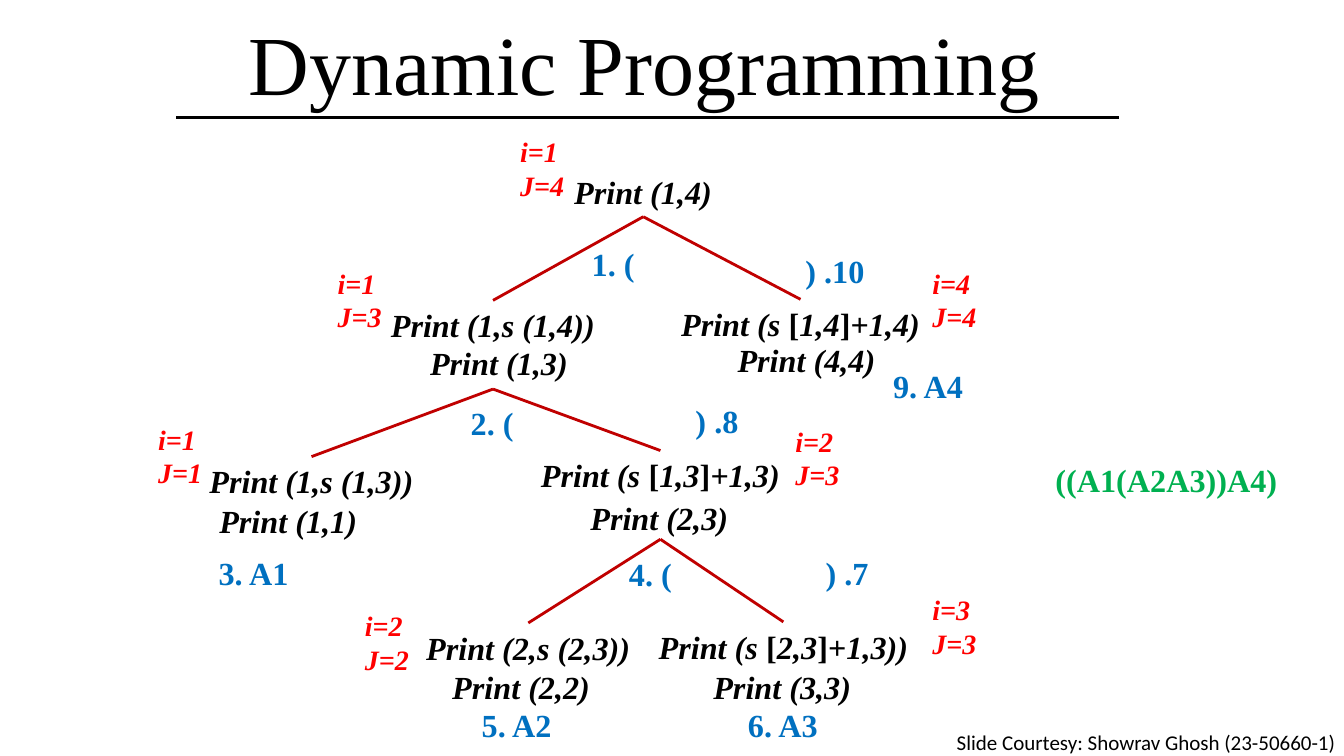
from lxml import etree
from pptx import Presentation
from pptx.dml.color import RGBColor
from pptx.enum.shapes import MSO_CONNECTOR
from pptx.enum.text import PP_ALIGN
from pptx.oxml.ns import qn
from pptx.util import Inches, Pt

COLORS = dict(ink="000000", state="FF0000", step="0070C0", branch="C00000", answer="00B050")
SERIF = "Times New Roman"
SLIDE_W, SLIDE_H = 13.33, 7.5
ROW_H, NODE_W, STEP_W = 0.49, 2.5, 1.3
STATE_W, STATE_H = 1.21, 0.77

TITLE = "Dynamic Programming"
ANSWER = "((A1(A2A3))A4)"
CREDIT = "Slide Courtesy: Showrav Ghosh (23-50660-1)"

# range: (parent, call with | around upright parts, centre x, top, width, height)
NODES = {
    "1,4": (None, "Print (1,4)", 6.38, 1.66, NODE_W, ROW_H),
    "1,3": ("1,4", "Print (1,s (1,4))", 4.89, 2.98, NODE_W, 0.88),
    "4,4": ("1,4", "Print (s |[|1,4|]+|1,4)", 7.94, 2.97, 2.61, ROW_H),
    "1,1": ("1,3", "Print (1,s (1,3))", 3.09, 4.53, NODE_W, 0.88),
    "2,3": ("1,3", "Print (s |[|1,3|]|+1,3)", 6.55, 4.47, 2.61, 0.88),
    "2,2": ("2,3", "Print (2,s (2,3))", 5.24, 6.18, NODE_W, 0.88),
    "3,3": ("2,3", "Print (s |[|2,3|]+|1,3))", 7.77, 6.17, 2.79, 0.88),
}
RESOLVED = {
    "1,3": (4.95, 3.36), "4,4": (8.0, 3.33), "1,1": (2.86, 4.92),
    "2,3": (6.54, 4.89), "2,2": (5.17, 6.57), "3,3": (7.76, 6.57),
}
STATES = {
    "1,4": (5.06, 1.29), "1,3": (3.25, 2.59), "4,4": (9.15, 2.59), "1,1": (1.47, 4.14),
    "2,3": (7.79, 4.16), "2,2": (3.52, 5.99), "3,3": (9.15, 5.83),
}
STEPS = [
    ("1. (", 5.77, 2.37), ("2. (", 4.57, 3.95), ("3. A1", 2.07, 5.44),
    ("4. (", 6.14, 5.45), ("5. A2", 4.68, 6.95), ("6. A3", 7.32, 6.95),
    (") .7", 8.09, 5.44), (") .8", 6.8, 3.93), ("9. A4", 8.76, 3.58),
    (") .10", 7.89, 2.44),
]


def add_text(s, lines, x, y, w, h, size, color, bold=True, italic=False,
             align=PP_ALIGN.LEFT, font=SERIF, inset=0.05):
    tf = s.shapes.add_textbox(Inches(x), Inches(y), Inches(w), Inches(h)).text_frame
    tf.word_wrap = True
    tf.margin_top = tf.margin_bottom = Inches(inset)
    for n, line in enumerate(lines):
        p = tf.paragraphs[0] if n == 0 else tf.add_paragraph()
        p.alignment = align
        p.font.name, p.font.size, p.font.bold = font, Pt(size), bold
        p.font.color.rgb = RGBColor.from_string(COLORS[color])
        for part, text in enumerate(line.split("|")):
            r = p.add_run()
            r.text = text
            r.font.name, r.font.size, r.font.bold = font, Pt(size), bold
            r.font.italic = italic and part % 2 == 0
            r.font.color.rgb = RGBColor.from_string(COLORS[color])


def add_line(s, start, end, color):
    c = s.shapes.add_connector(MSO_CONNECTOR.STRAIGHT, *map(Inches, start + end))
    c.line.color.rgb = RGBColor.from_string(COLORS[color])
    c.line.width = Pt(2)
    etree.SubElement(c._element.spPr, qn("a:effectLst"))


def add_call(s, text, centre, y, w, h):
    add_text(s, [text], centre - w / 2, y, w, h, 23, "ink", italic=True, align=PP_ALIGN.CENTER)


def main():
    prs = Presentation()
    prs.slide_width, prs.slide_height = Inches(SLIDE_W), Inches(SLIDE_H)
    s = prs.slides.add_slide(prs.slide_layouts[6])

    add_text(s, [TITLE], 2.37, 0.06, 8.59, 1.11, 60, "ink", bold=False)
    add_line(s, (1.75, 1.17), (11.1, 1.17), "ink")

    for key, (parent, call, centre, y, w, h) in NODES.items():
        add_call(s, call, centre, y, w, h)
        if parent:
            _, _, px, py, _, ph = NODES[parent]
            add_line(s, (px, py + ph), (centre, y), "branch")
        if key in RESOLVED:
            add_call(s, f"Print ({key})", *RESOLVED[key], NODE_W, ROW_H)
        i, j = key.split(",")
        add_text(s, [f"i={i}", f"J={j}"], *STATES[key], STATE_W, STATE_H, 20, "state", italic=True)

    for text, x, y in STEPS:
        add_text(s, [text], x, y, STEP_W, ROW_H, 23, "step")
    add_text(s, [ANSWER], 10.37, 4.52, 2.67, ROW_H, 23, "answer")
    add_text(s, [CREDIT], 9.39, 7.14, 4.44, ROW_H, 15, "ink", bold=False, font="Calibri", inset=0.1)

    prs.save("out.pptx")


if __name__ == "__main__":
    main()
